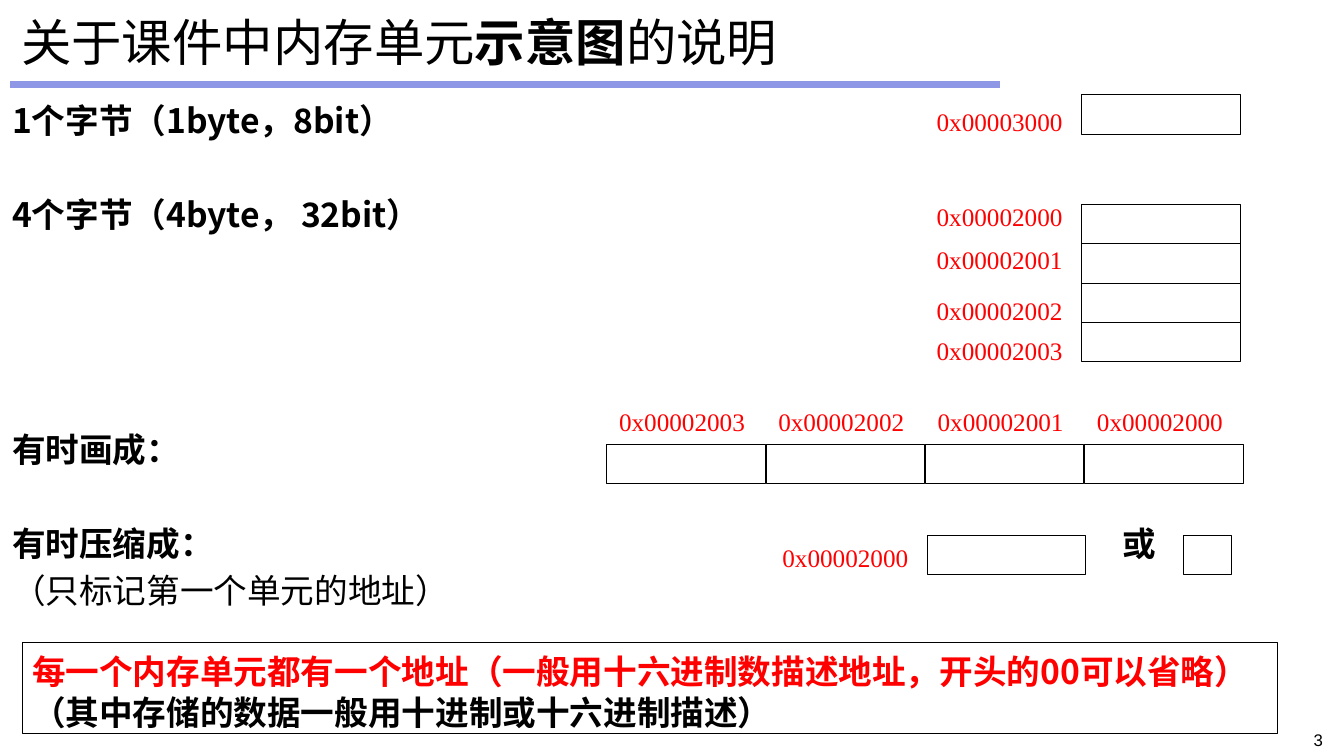
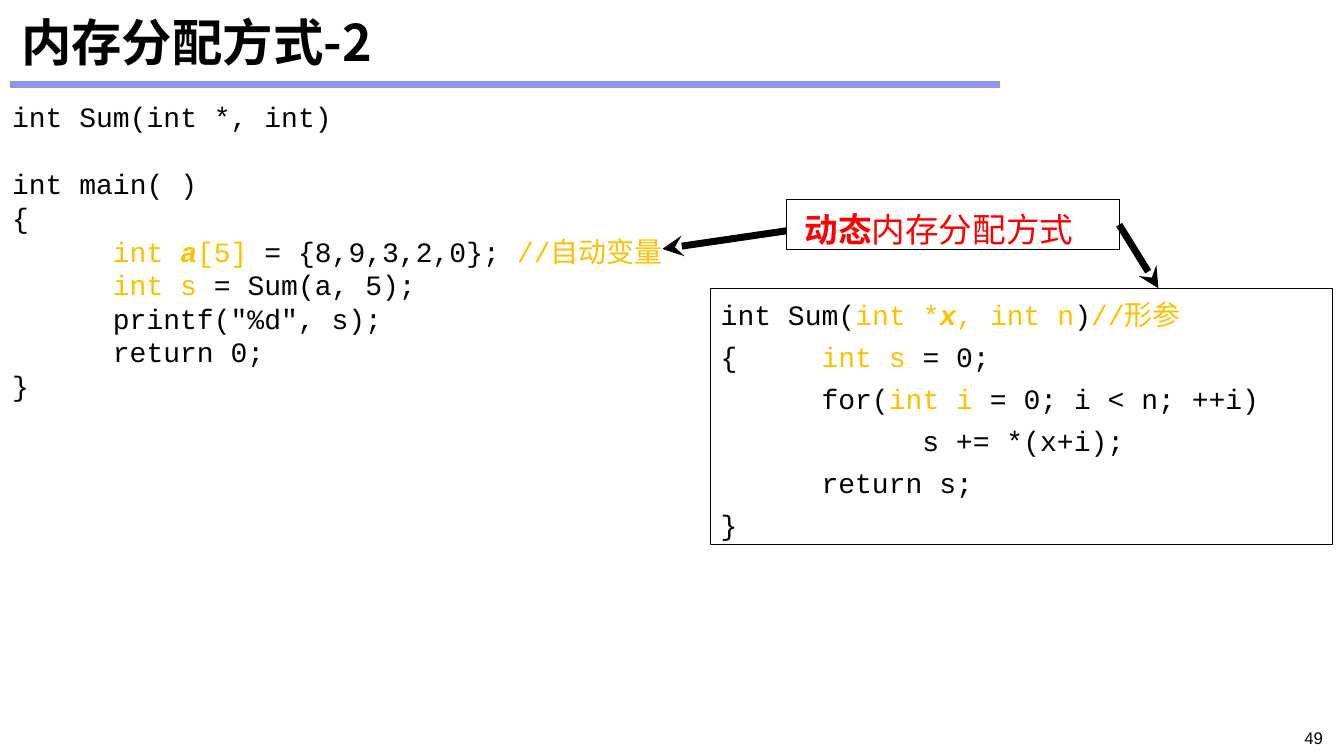
from lxml import etree
from pptx import Presentation
from pptx.dml.color import RGBColor
from pptx.enum.shapes import MSO_CONNECTOR, MSO_SHAPE
from pptx.enum.text import MSO_ANCHOR, PP_ALIGN
from pptx.oxml.ns import qn
from pptx.util import Inches, Pt

RECT = MSO_SHAPE.RECTANGLE
LINE = MSO_CONNECTOR.STRAIGHT
TOP, MIDDLE = MSO_ANCHOR.TOP, MSO_ANCHOR.MIDDLE
LEFT, RIGHT = PP_ALIGN.LEFT, PP_ALIGN.RIGHT
HEX = {"black": "000000", "white": "FFFFFF", "red": "FF0000",
       "gold": "FFC000", "rule": "8D97E5"}
SANS, MONO, SERIF, PLAIN = ("Noto Sans CJK SC", "Courier New",
                            "Times New Roman", "Arial")
CELL_W, CELL_H, STEP = 1.57, 0.39, 1.58
PAD = (0.1, 0.09, 0.1, 0.05)
BODY_PAD = (0.02, 0.05, 0.02, 0.01)


def color(name):
    return RGBColor.from_string(HEX[name])


def inches(values):
    return [Inches(v) for v in values]


def set_font(font, face, size):
    font.name = face
    font.size = Pt(size)
    east = etree.SubElement(font._element, qn("a:ea"))
    east.set("typeface", SANS)


def add_tabs(para):
    tabs = etree.SubElement(para._p.get_or_add_pPr(), qn("a:tabLst"))
    for stop in (1, 2):
        tab = etree.SubElement(tabs, qn("a:tab"))
        tab.set("pos", str(Inches(stop)))
        tab.set("algn", "l")


def write(shape, lines, face, size, pad=PAD, gaps=(), pitch=None,
          align=LEFT, anchor=TOP, tabs=False):
    frame = shape.text_frame
    frame.word_wrap = True
    frame.vertical_anchor = anchor
    (frame.margin_left, frame.margin_top,
     frame.margin_right, frame.margin_bottom) = inches(pad)
    for i, line in enumerate(lines):
        para = frame.paragraphs[0] if i == 0 else frame.add_paragraph()
        if tabs:
            add_tabs(para)
        para.alignment = align
        if pitch:
            para.line_spacing = Pt(pitch)
        para.space_before = Pt(gaps[i] if gaps else 0)
        set_font(para.font, face, size)
        for text, tint, *style in line:
            run = para.add_run()
            run.text = text
            run.font.color.rgb = color(tint)
            run.font.bold = "b" in style
            run.font.italic = "i" in style


def add_box(slide, at, edge="black", fill=None):
    box = slide.shapes.add_shape(RECT, *inches(at))
    box.shadow.inherit = False
    if fill:
        box.fill.solid()
        box.fill.fore_color.rgb = color(fill)
    else:
        box.fill.background()
    if edge:
        box.line.color.rgb = color(edge)
        box.line.width = Pt(0.75)
    else:
        box.line.fill.background()
    return box


def add_cell(slide, left, top, width=CELL_W):
    add_box(slide, (left, top, width, CELL_H))


def add_tag(slide, left, top, text):
    box = add_box(slide, (left, top, 1.46, 0.37), None, "white")
    write(box, [[(text, "red")]], SERIF, 18, (0.06, 0, 0, 0), anchor=MIDDLE)


def add_text(slide, at, lines, face, size, **style):
    write(slide.shapes.add_textbox(*inches(at)), lines, face, size, **style)


def add_line(slide, start, end, tint, width, arrow=False):
    line = slide.shapes.add_connector(LINE, *inches(start + end))
    line.line.color.rgb = color(tint)
    line.line.width = Pt(width)
    if arrow:
        tail = etree.SubElement(line.line._get_or_add_ln(), qn("a:tailEnd"))
        tail.set("type", "stealth")
    etree.SubElement(line._element.spPr, qn("a:effectLst"))
    return line


def add_page(deck, title, number, top):
    slide = deck.slides.add_slide(deck.slide_layouts[5])
    add_line(slide, (0.1, 0.84), (9.92, 0.84), "rule", 4.5)
    head = slide.shapes.title
    head.left, head.top, head.width, head.height = inches(
        (0.11, 0.08, 13.11, 0.67))
    write(head, [title], SANS, 36, (0.1, 0.05, 0.1, 0.05), anchor=MIDDLE)
    add_text(slide, (11.91, top, 1.31, 0.25), [[(number, "black")]],
             PLAIN, 12, pad=(0.1, 0.05, 0.1, 0.05), align=RIGHT)
    return slide


def add_units(deck):
    slide = add_page(deck, [("关于课件中内存单元", "black"),
                            ("示意图", "black", "b"),
                            ("的说明", "black")], "3", 7.19)
    lines = [[("1个字节（1byte，8bit）", "black", "b")],
             [("4个字节（4byte， 32bit）", "black", "b")],
             [("有时画成：", "black", "b")],
             [("有时压缩成：", "black", "b")],
             [("（只标记第一个单元的地址）", "black")]]
    add_text(slide, (0.1, 0.94, 7, 5.3), lines, SANS, 24, pad=BODY_PAD,
             gaps=(0, 38.4, 139.2, 38.4, 4.8), pitch=28.8)
    add_text(slide, (11.11, 5.14, 0.5, 0.45), [[("或", "black", "b")]],
             SANS, 24, pad=BODY_PAD, pitch=28.8)

    add_tag(slide, 9.23, 1.02, "0x00003000")
    add_cell(slide, 10.73, 0.94)
    for i, top in enumerate((1.96, 2.39, 2.89, 3.29)):
        add_tag(slide, 9.23, top, f"0x0000200{i}")
        add_cell(slide, 10.73, 2.03 + i * CELL_H)
        add_tag(slide, 6.08 + i * STEP, 4, f"0x0000200{3 - i}")
        add_cell(slide, 6.02 + i * STEP, 4.41)
    add_tag(slide, 7.7, 5.35, "0x00002000")
    add_cell(slide, 9.2, 5.31)
    add_cell(slide, 11.74, 5.31, 0.47)

    note = [[("每一个内存单元都有一个地址"
              "（一般用十六进制数描述地址，开头的00可以省略）", "red", "b")],
            [("（其中存储的数据一般用十进制或十六进制描述）", "black", "b")]]
    write(add_box(slide, (0.22, 6.37, 12.45, 0.91)), note, SANS, 24,
          pitch=28.8)


def add_code(deck):
    slide = add_page(deck, [("内存分配方式-2", "black", "b")], "49", 7.17)
    main_code = [
        [("int Sum(int *, int)", "black")],
        [("int main( )", "black")],
        [("{", "black")],
        [("\tint ", "gold"), ("a", "gold", "b", "i"), ("[5] ", "gold"),
         ("= {8,9,3,2,0}; ", "black"), ("//自动变量", "gold")],
        [("\tint s", "gold"), (" = Sum(a, 5);", "black")],
        [("\tprintf(\"%d\", s);", "black")],
        [("\treturn 0;", "black")],
        [("}", "black")]]
    add_text(slide, (0.1, 0.94, 6.9, 3.2), main_code, MONO, 20, pad=BODY_PAD,
             gaps=(0, 24) + (0,) * 6, pitch=24, tabs=True)

    sum_code = [
        [("int Sum(", "black"), ("int *", "gold"), ("x", "gold", "b", "i"),
         (", int n", "gold"), (")", "black"), ("//形参", "gold")],
        [("{\t", "black"), ("int s", "gold"), (" = 0;", "black")],
        [("\tfor(", "black"), ("int i", "gold"),
         (" = 0; i < n; ++i)", "black")],
        [("\t\ts += *(x+i);", "black")],
        [("\treturn s;", "black")],
        [("}", "black")]]
    write(add_box(slide, (7.05, 2.86, 6.17, 2.54)), sum_code, MONO, 20,
          gaps=(0,) + (6,) * 5, pitch=24, tabs=True)

    label = add_box(slide, (7.8, 1.98, 3.3, 0.5))
    write(label, [[("动态", "red", "b"), ("内存分配方式", "red")]], SANS, 24,
          pad=(0.18, 0.09, 0.1, 0.05), pitch=28.8)
    add_line(slide, (7.8, 2.29), (6.57, 2.47), "black", 5, True)
    arrow = add_line(slide, (11.1, 2.23), (11.49, 2.86), "black", 5, True)
    arrow.begin_connect(label, 3)


def main():
    deck = Presentation()
    deck.slide_width, deck.slide_height = inches((13.33, 7.5))
    add_units(deck)
    add_code(deck)
    deck.save("out.pptx")


if __name__ == "__main__":
    main()
